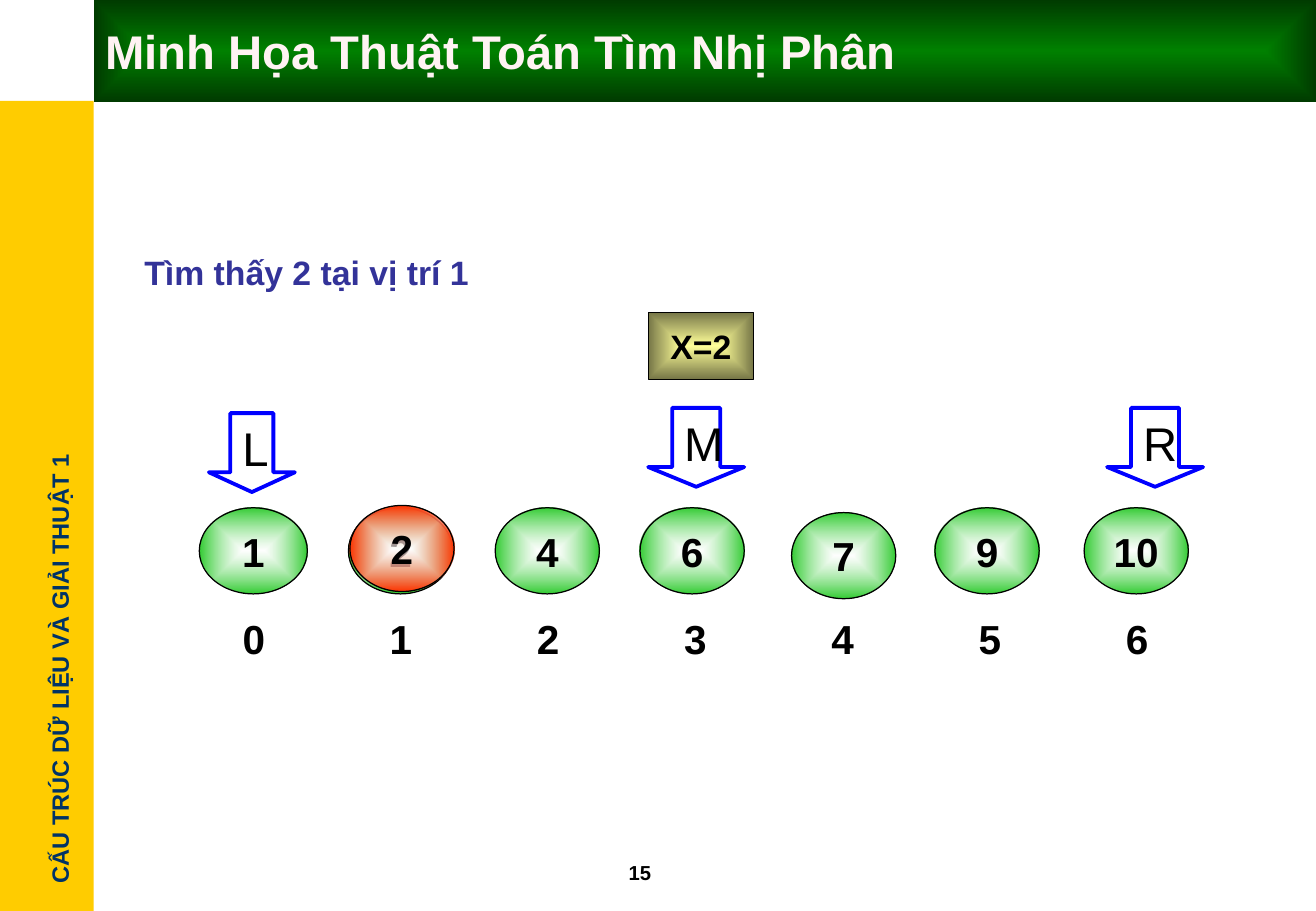
from dataclasses import dataclass

from lxml import etree
from pptx import Presentation
from pptx.dml.color import RGBColor
from pptx.enum.shapes import MSO_SHAPE
from pptx.enum.text import MSO_ANCHOR, PP_ALIGN
from pptx.oxml.ns import qn
from pptx.util import Cm, Pt

RECT, OVAL, ARROW = MSO_SHAPE.RECTANGLE, MSO_SHAPE.OVAL, MSO_SHAPE.DOWN_ARROW
TOP, MIDDLE = MSO_ANCHOR.TOP, MSO_ANCHOR.MIDDLE
LEFT, CENTER = PP_ALIGN.LEFT, PP_ALIGN.CENTER

BLACK, WHITE, BLUE = "000000", "FFFFFF", "0000FF"
GREEN, RED = "33CC33", "FF3300"
NODE_W, NODE_H, NODE_TOP = 2.18, 1.8, 10.62
INDEX_LEFT, INDEX_TOP, INDEX_STEP = 4.22, 12.45, 3.08


@dataclass
class Box:
    """Place and size in centimetres."""
    left: float
    top: float
    width: float
    height: float

    def lengths(self) -> list:
        return [Cm(v) for v in (self.left, self.top, self.width, self.height)]


@dataclass
class Node:
    value: str
    left: float
    top: float = NODE_TOP
    width: float = NODE_W
    color: str = GREEN


@dataclass
class Pointer:
    label: str
    left: float
    top: float = 8.53
    width: float = 2.01


NODES = [
    Node("1", 4.17, width=2.26),
    Node("2", 7.29),
    Node("4", 10.36),
    Node("6", 13.39),
    Node("7", 16.56, top=10.72),
    Node("9", 19.56),
    Node("10", 22.68),
    Node("2", 7.32, top=10.57, color=RED),
]
POINTERS = [
    Pointer("L", 4.37, top=8.64, width=1.8),
    Pointer("M", 13.56),
    Pointer("R", 23.16),
]


def rgb(color: str) -> RGBColor:
    return RGBColor.from_string(color)


def write(sp, text: str, size: float, color: str = BLACK, bold: bool = True,
          align=CENTER, anchor=MIDDLE, wrap: bool = True) -> None:
    tf = sp.text_frame
    tf.word_wrap = wrap
    tf.vertical_anchor = anchor
    p = tf.paragraphs[0]
    p.text = text
    p.alignment = align
    p.font.name = "Arial"
    p.font.size = Pt(size)
    p.font.bold = bold
    p.font.color.rgb = rgb(color)


def add_shape(s, kind, box: Box, fill: str = "", line: str = "", line_width: float = 0.75):
    """Add a preset shape; an empty fill or line colour means none."""
    sp = s.shapes.add_shape(kind, *box.lengths())
    sp.shadow.inherit = False
    if fill:
        sp.fill.solid()
        sp.fill.fore_color.rgb = rgb(fill)
    else:
        sp.fill.background()
    if line:
        sp.line.color.rgb = rgb(line)
        sp.line.width = Pt(line_width)
    else:
        sp.line.fill.background()
    return sp


def fill_from_center(sp, inner: str, outer: str, inner_alpha: int = 100) -> None:
    """Fill with a rectangular gradient that runs from the centre outwards."""
    sp.fill.gradient()
    for stop, color in zip(sp.fill.gradient_stops, (inner, outer)):
        stop.color.rgb = rgb(color)
    grad = sp._element.spPr.find(qn("a:gradFill"))
    if inner_alpha < 100:
        first = grad.find(".//" + qn("a:srgbClr"))
        etree.SubElement(first, qn("a:alpha"), val=str(inner_alpha * 1000))
    grad.remove(grad.find(qn("a:lin")))
    path = etree.SubElement(grad, qn("a:path"), path="rect")
    etree.SubElement(path, qn("a:fillToRect"), l="50000", t="50000", r="50000", b="50000")


def add_text(s, box: Box, text: str, size: float, color: str = BLACK, wrap: bool = True):
    sp = s.shapes.add_textbox(*box.lengths())
    write(sp, text, size, color, align=LEFT, anchor=TOP, wrap=wrap)
    return sp


def add_node(s, node: Node) -> None:
    sp = add_shape(s, OVAL, Box(node.left, node.top, node.width, NODE_H), line=BLACK)
    fill_from_center(sp, WHITE, node.color, inner_alpha=60)
    write(sp, node.value, 24)


def add_pointer(s, pointer: Pointer) -> None:
    box = Box(pointer.left, pointer.top, pointer.width, 1.65)
    sp = add_shape(s, ARROW, box, line=BLUE, line_width=2.25)
    sp.adjustments[0], sp.adjustments[1] = 0.5, 0.25
    write(sp, pointer.label, 28, bold=False, align=LEFT, anchor=TOP)


def add_frame(s) -> None:
    """Add the side band, its vertical caption, the title bar and the page number."""
    add_shape(s, RECT, Box(0, 2.11, 1.96, 16.94), fill="FFCC00")
    caption = add_text(s, Box(-3.48, 13.56, 9.47, 0.86),
                       "CẤU TRÚC DỮ LIỆU VÀ GIẢI THUẬT 1", 14, "003366", wrap=False)
    caption.rotation = 270
    title = add_shape(s, RECT, Box(1.96, 0, 25.57, 2.13))
    fill_from_center(title, "008000", "003B00")
    write(title, "Minh Họa Thuật Toán Tìm Nhị Phân", 28, "FFF3F3", align=LEFT)
    add_text(s, Box(12.9, 17.86, 2.11, 0.76), "15", 12)


def main() -> None:
    prs = Presentation()
    prs.slide_width, prs.slide_height = Cm(27.53), Cm(19.05)
    s = prs.slides.add_slide(prs.slide_layouts[6])
    add_frame(s)

    add_text(s, Box(2.77, 5.13, 8.56, 1.12), "Tìm thấy 2 tại vị trí 1", 20, "333399")
    target = add_shape(s, RECT, Box(13.56, 6.53, 2.21, 1.4), line=BLACK)
    fill_from_center(target, "FFFF99", "767647")
    write(target, "X=2", 20, wrap=False)

    for node in NODES:
        add_node(s, node)
    for i in range(7):
        box = Box(INDEX_LEFT + i * INDEX_STEP, INDEX_TOP, NODE_W, NODE_H)
        write(add_shape(s, OVAL, box), str(i), 24)
    for pointer in POINTERS:
        add_pointer(s, pointer)

    prs.save("out.pptx")


if __name__ == "__main__":
    main()
